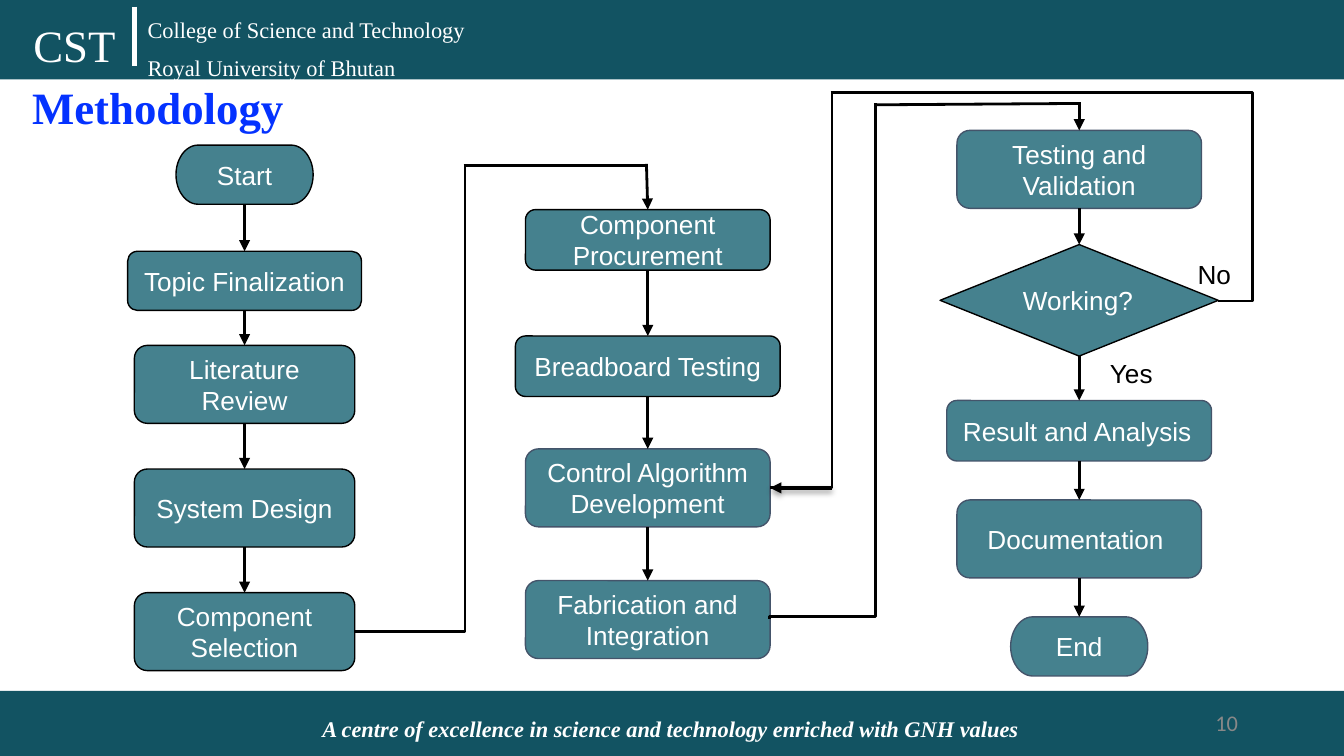
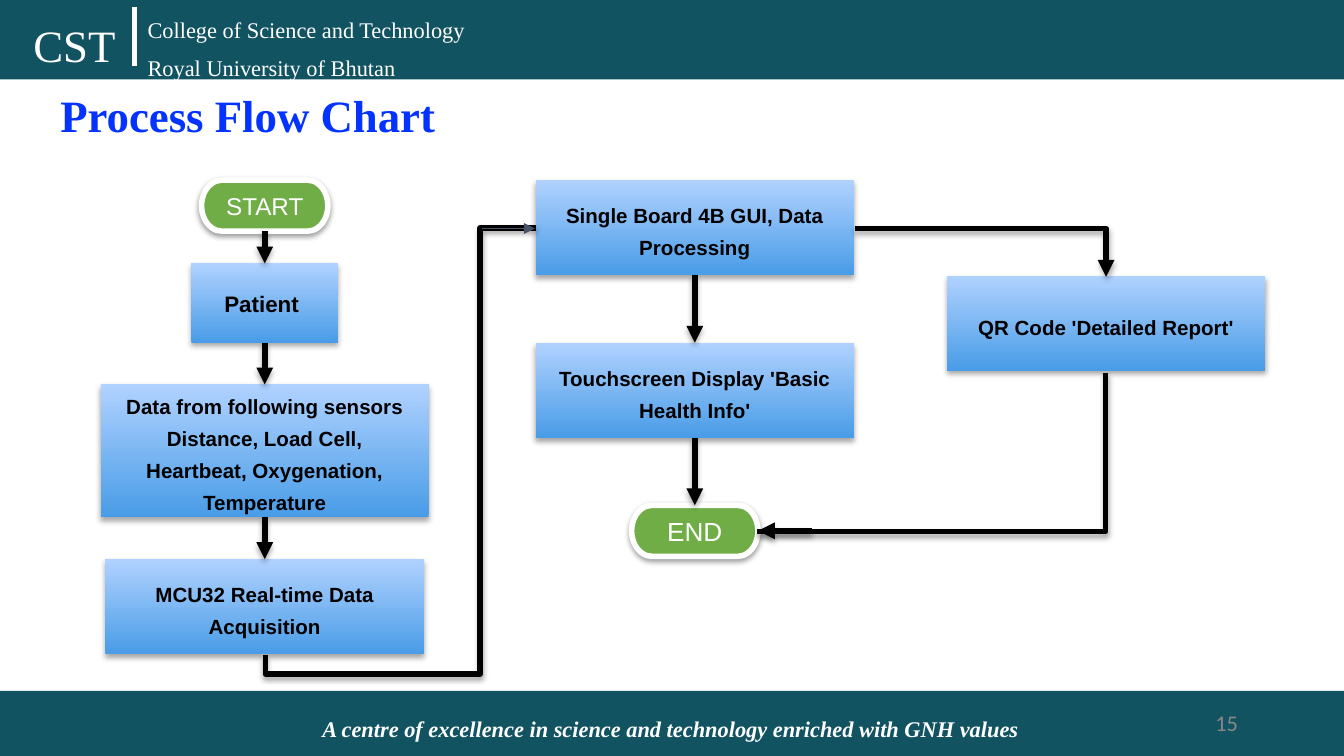
from dataclasses import dataclass

from lxml import etree
from pptx import Presentation
from pptx.dml.color import RGBColor
from pptx.enum import shapes, text
from pptx.oxml import ns
from pptx.util import Inches, Pt

COLORS = {
    "band": "125362", "title": "0432FF", "white": "FFFFFF", "black": "000000",
    "teal": "45818E", "slate": "44546A", "green": "70AD47", "number": "888888",
    "blue": "499CE7", "sky": "B0D2FF",
}
SERIF = "Times New Roman"
KIND = shapes.MSO_SHAPE
ALIGN = text.PP_ALIGN
# Opacity in percent, blur and distance in points
SOFT = (35, 3.1, 1.8)
FIRM = (38, 3.1, 1.6)


@dataclass
class Style:
    kind: int
    fill: tuple
    edge: str = None
    edge_width: float = 0.75
    size: float = 14
    color: str = "white"
    bold: bool = False
    spacing: float = None
    align: int = ALIGN.CENTER
    shadow: tuple = None


STYLES = {
    "pill": Style(KIND.FLOWCHART_TERMINATOR, ("teal",), "black"),
    "slate pill": Style(KIND.FLOWCHART_TERMINATOR, ("teal",), "slate"),
    "step": Style(KIND.ROUNDED_RECTANGLE, ("teal",), "black"),
    "slate step": Style(KIND.ROUNDED_RECTANGLE, ("teal",), "slate"),
    "left step": Style(KIND.ROUNDED_RECTANGLE, ("teal",), "slate", align=ALIGN.LEFT),
    "decision": Style(KIND.FLOWCHART_DECISION, ("teal",), "black", align=ALIGN.LEFT),
    "start": Style(KIND.FLOWCHART_TERMINATOR, ("green",), "white", 3, 13, shadow=FIRM),
    "end": Style(KIND.FLOWCHART_TERMINATOR, ("green",), "white", 3, shadow=FIRM),
    "person": Style(KIND.RECTANGLE, ("blue", "sky"), size=12, color="black",
                    bold=True, shadow=SOFT),
    "process": Style(KIND.RECTANGLE, ("blue", "sky"), size=11, color="black",
                     bold=True, spacing=1.3, shadow=SOFT),
}

# Columns: centre, then nodes as label, style, top, width, height.
# Lines: from, to, colour, width, arrow, shadow.
# Elbows: left, top, width, height, rotation, flipped, preset, adjustments, arrow.
SLIDES = [
    {
        "title": ("Methodology", 0.14, 0.6),
        "number": "10",
        "line_width": 1.5,
        "line_shadow": None,
        "columns": [
            (1.82, [
                ("Start", "pill", 1.08, 1.02, 0.44),
                ("Topic Finalization", "step", 1.87, 1.74, 0.44),
                ("Literature Review", "step", 2.57, 1.64, 0.58),
                ("System Design", "step", 3.49, 1.64, 0.58),
                ("Component Selection", "step", 4.41, 1.64, 0.58),
            ]),
            (4.82, [
                ("Component Procurement", "step", 1.56, 1.82, 0.45),
                ("Breadboard Testing", "step", 2.5, 1.97, 0.45),
                ("Control Algorithm Development", "slate step", 3.34, 1.82, 0.58),
                ("Fabrication and Integration", "slate step", 4.32, 1.82, 0.58),
            ]),
            (8.03, [
                ("Testing and Validation", "slate step", 0.97, 1.82, 0.58),
                ("Working?", "decision", 1.82, 2.07, 0.83),
                ("Result and Analysis", "left step", 2.98, 1.97, 0.45),
                ("Documentation ", "slate step", 3.72, 1.82, 0.58),
                ("End", "slate pill", 4.59, 1.02, 0.44),
            ]),
        ],
        "elbows": [
            (2.64, 1.22, 0.82, 3.48, 180, True, "bentConnector2", [], False),
            (4.2, 2.29, 3.84, 0.79, 270, False, "bentConnector3", [0.005], False),
            (5.73, 0.68, 0.46, 2.95, 180, True, "bentConnector2", [], False),
            (6.18, 0.69, 2.88, 1.55, 0, False, "bentConnector3", [1.09], False),
        ],
        "lines": [
            ((3.45, 1.23), (4.82, 1.23), "black", 1.5, False, None),
            ((4.81, 1.22), (4.82, 1.56), "black", 1.5, True, None),
            ((6.51, 0.78), (8.04, 0.77), "black", 1.5, False, None),
            ((8.03, 0.76), (8.03, 0.97), "black", 1.5, True, None),
            ((6.19, 3.63), (5.73, 3.63), "black", 2, True, FIRM),
        ],
        # Label, left, top, left inset
        "answers": [("Yes", 8.16, 2.56, 0.1), ("No", 8.54, 1.82, 0.37)],
    },
    {
        "title": ("Process Flow Chart", 0.35, 0.66),
        "number": "15",
        "line_width": 3,
        "line_shadow": SOFT,
        "columns": [
            (1.97, [
                ("START", "start", 1.34, 0.94, 0.38),
                ("Patient ", "person", 1.96, 1.09, 0.59),
                ("Data from following sensors Distance, Load Cell, "
                 "Heartbeat, Oxygenation, Temperature", "process", 2.86, 2.44, 0.99),
                ("MCU32 Real-time Data Acquisition", "process", 4.16, 2.37, 0.71),
            ]),
            (5.17, [
                ("Single Board 4B GUI, Data Processing", "process", 1.34, 2.37, 0.71),
                ("Touchscreen Display 'Basic Health Info'", "process", 2.55, 2.37, 0.71),
                ("END", "end", 3.76, 0.94, 0.38),
            ]),
            (8.23, [("QR Code 'Detailed Report'", "process", 2.05, 2.37, 0.71)]),
        ],
        "elbows": [
            (1.39, 2.28, 3.18, 2.01, 270, False, "bentConnector4", [-0.044, 0.795], False),
            (6.36, 1.7, 1.87, 0.36, 0, False, "bentConnector2", [], True),
            (6.34, 2.07, 1.18, 2.59, 90, False, "bentConnector2", [], False),
        ],
        "lines": [
            ((3.59, 1.7), (3.98, 1.7), "slate", 0.75, True, None),
            ((6.04, 3.95), (5.64, 3.95), "black", 3, True, SOFT),
        ],
        "answers": [],
    },
]


def rgb(name):
    return RGBColor.from_string(COLORS[name])


def add_xml(parent, tag, **attributes):
    child = etree.SubElement(parent, ns.qn(tag))
    for key, value in attributes.items():
        child.set(key, str(value))
    return child


def set_shadow(shape, shadow):
    """Replace the theme shadow; call after fill and line are set."""
    effects = add_xml(shape._element.spPr, "a:effectLst")
    if shadow:
        opacity, blur, distance = shadow
        outer = add_xml(effects, "a:outerShdw", blurRad=Pt(blur), dist=Pt(distance),
                        dir=90 * 60000, rotWithShape=0)
        tint = add_xml(outer, "a:srgbClr", val=COLORS["black"])
        add_xml(tint, "a:alpha", val=opacity * 1000)


def write(box, lines, size, color, font="Arial", bold=False, italic=False,
          align=ALIGN.LEFT, middle=False, inset=0.1, left_inset=0.1,
          spacing=None, gap=0, grow=False):
    frame = box.text_frame
    frame.word_wrap = True
    frame.margin_left, frame.margin_right = Inches(left_inset), Inches(0.1)
    frame.margin_top = frame.margin_bottom = Inches(inset)
    frame.vertical_anchor = text.MSO_ANCHOR.MIDDLE if middle else text.MSO_ANCHOR.TOP
    if grow:
        frame.auto_size = text.MSO_AUTO_SIZE.SHAPE_TO_FIT_TEXT
    for index, line in enumerate(lines):
        para = frame.add_paragraph() if index else frame.paragraphs[0]
        para.text = line
        para.alignment = align
        if spacing:
            para.line_spacing = spacing
        if index:
            para.space_before = Pt(gap)
        para.font.name, para.font.size = font, Pt(size)
        para.font.bold, para.font.italic = bold, italic
        para.font.color.rgb = rgb(color)


def add_text(page, at, lines, size, color, **options):
    box = page.shapes.add_textbox(*map(Inches, at))
    write(box, lines, size, color, **options)


def add_block(page, kind, at, fill, edge=None, edge_width=0.75, shadow=None):
    block = page.shapes.add_shape(kind, *map(Inches, at))
    if len(fill) > 1:
        block.fill.gradient()
        block.fill.gradient_angle = 90
        for stop, name in zip(block.fill.gradient_stops, fill):
            stop.color.rgb = rgb(name)
    else:
        block.fill.solid()
        block.fill.fore_color.rgb = rgb(fill[0])
    if edge:
        block.line.color.rgb = rgb(edge)
        block.line.width = Pt(edge_width)
    else:
        block.line.fill.background()
    set_shadow(block, shadow)
    return block


def add_line(page, start, end, color, width, arrow=False, shadow=None,
             kind=shapes.MSO_CONNECTOR.STRAIGHT):
    line = page.shapes.add_connector(kind, *map(Inches, (*start, *end)))
    line.line.color.rgb = rgb(color)
    line.line.width = Pt(width)
    if arrow:
        add_xml(line.line._get_or_add_ln(), "a:tailEnd", type="triangle")
    set_shadow(line, shadow)
    return line


def add_elbow(page, elbow, width, shadow):
    left, top, wide, high, rotation, flipped, preset, adjustments, arrow = elbow
    line = add_line(page, (left, top), (left + wide, top + high), "black", width,
                    arrow, shadow, shapes.MSO_CONNECTOR.ELBOW)
    properties = line._element.spPr
    frame = properties.find(ns.qn("a:xfrm"))
    frame.set("rot", str(rotation * 60000))
    if flipped:
        frame.set("flipH", "1")
    geometry = properties.find(ns.qn("a:prstGeom"))
    geometry.set("prst", preset)
    guides = geometry.find(ns.qn("a:avLst"))
    for index, share in enumerate(adjustments, 1):
        add_xml(guides, "a:gd", name=f"adj{index}", fmla=f"val {round(share * 100000)}")


def add_frame(page, title, number):
    """Bands, college name, motto, title and page number."""
    for top, height in ((5.14, 0.49), (0, 0.59)):
        add_block(page, KIND.RECTANGLE, (0, top, 10, height), ("band",))
    serif = {"font": SERIF, "inset": 0.05}
    add_text(page, (2.3, 5.27, 5.45, 0.3),
             ["A centre of excellence in science and technology enriched with GNH values"],
             12, "white", bold=True, italic=True, grow=True, **serif)
    add_text(page, (0.15, 0.08, 0.82, 0.5), ["CST"], 24, "white", grow=True, **serif)
    add_line(page, (1, 0.05), (1, 0.49), "white", 3)
    add_text(page, (1, 0.07, 2.6, 0.59),
             ["College of Science and Technology", "Royal University of Bhutan"],
             12, "white", gap=6, grow=True, **serif)
    label, left, top = title
    add_text(page, (left, top, 8.62, 0.44), [label], 24, "title", bold=True,
             middle=True, spacing=0.9, **serif)
    add_text(page, (8.1, 5.23, 1.21, 0.3), [number], 12, "number", font="Calibri",
             align=ALIGN.RIGHT, middle=True, inset=0.05)


def add_column(page, centre, nodes, width, shadow):
    """Nodes centred on one axis, each joined to the next by an arrow."""
    for label, name, top, wide, high in nodes:
        style = STYLES[name]
        block = add_block(page, style.kind, (centre - wide / 2, top, wide, high),
                          style.fill, style.edge, style.edge_width, style.shadow)
        write(block, [label], style.size, style.color, bold=style.bold,
              align=style.align, middle=True, spacing=style.spacing)
    for upper, lower in zip(nodes, nodes[1:]):
        add_line(page, (centre, upper[2] + upper[4]), (centre, lower[2]),
                 "black", width, True, shadow)


def main():
    deck = Presentation()
    deck.slide_width = Inches(10)
    deck.slide_height = deck.slide_width * 9 // 16
    for content in SLIDES:
        page = deck.slides.add_slide(deck.slide_layouts[6])
        add_frame(page, content["title"], content["number"])
        look = content["line_width"], content["line_shadow"]
        for centre, nodes in content["columns"]:
            add_column(page, centre, nodes, *look)
        for elbow in content["elbows"]:
            add_elbow(page, elbow, *look)
        for line in content["lines"]:
            add_line(page, *line)
        for label, left, top, left_inset in content["answers"]:
            add_text(page, (left, top, 0.91, 0.45), [label], 14, "black",
                     left_inset=left_inset)
    deck.save("out.pptx")


if __name__ == "__main__":
    main()
